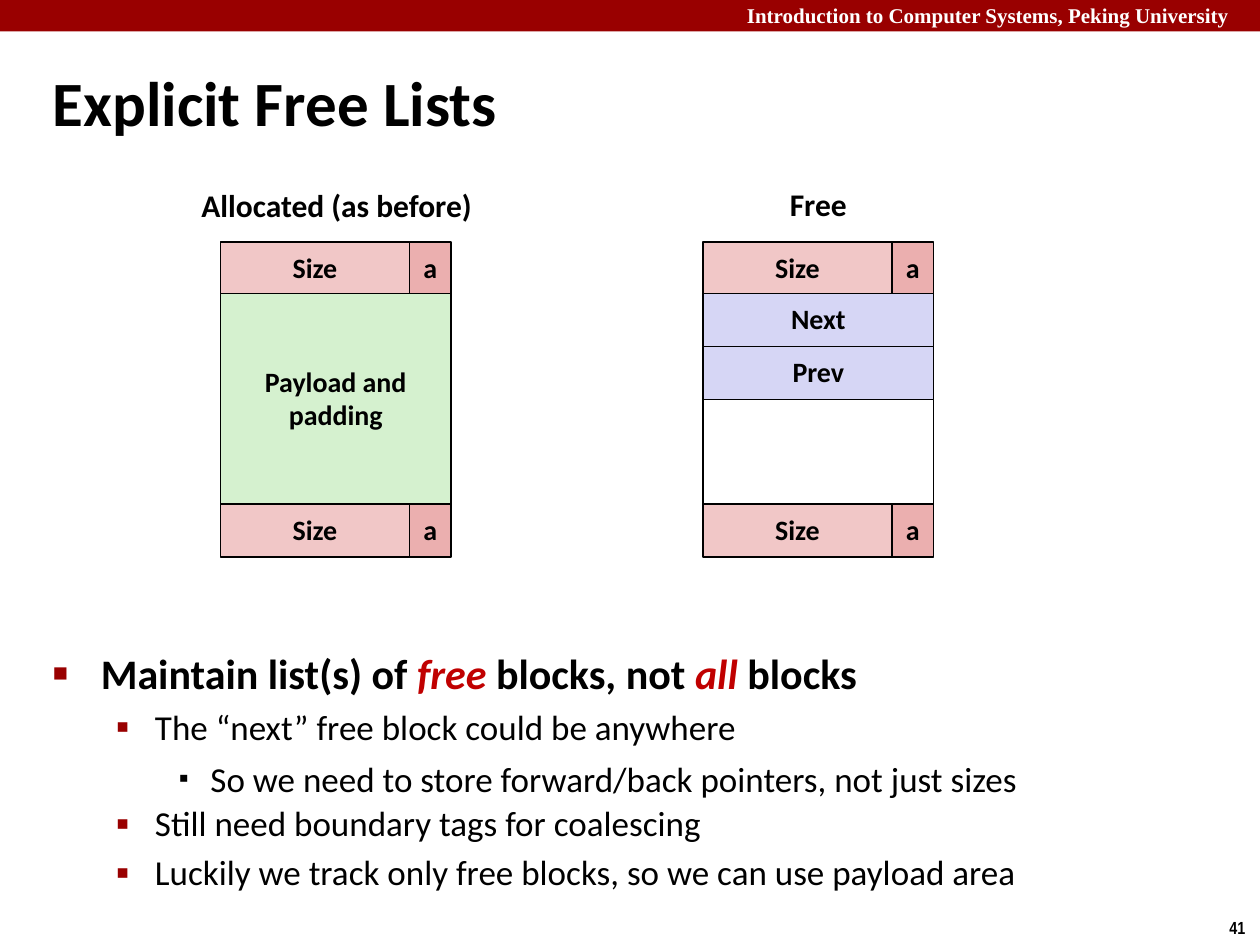
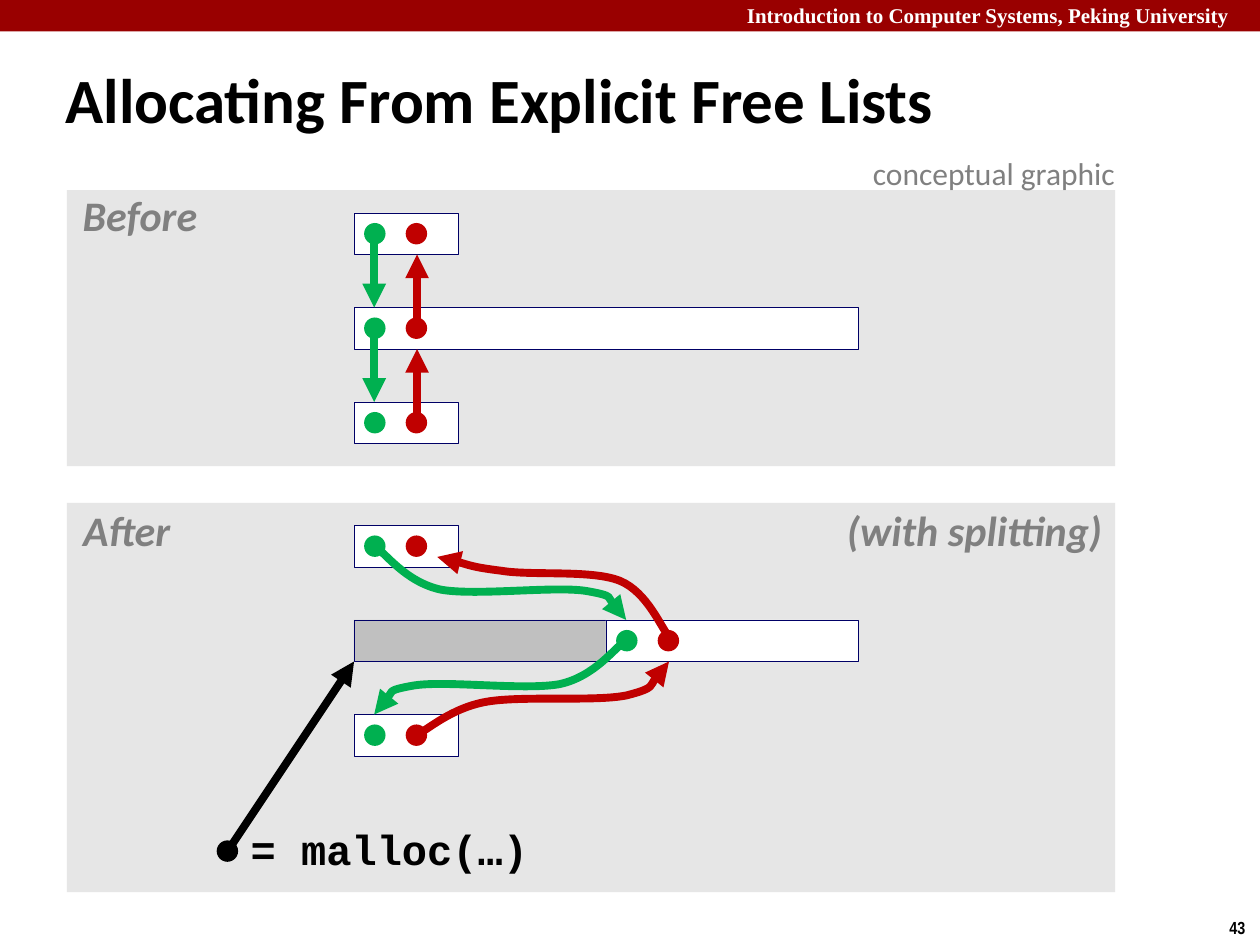
from lxml.etree import SubElement
from pptx import Presentation
from pptx.dml.color import RGBColor
from pptx.enum.shapes import MSO_CONNECTOR, MSO_SHAPE
from pptx.enum.text import MSO_AUTO_SIZE, PP_ALIGN
from pptx.oxml.ns import qn
from pptx.util import Inches, Pt

HUES = {
    "black": "000000", "white": "FFFFFF", "band": "990000", "red": "C00000",
    "green": "00B050", "navy": "000066", "gray": "808080", "panel": "E6E6E6",
    "used": "C0C0C0", "size": "F1C7C7", "flag": "EBAFAF", "load": "D5F1CF",
    "link": "D6D6F5",
}
RGB = {name: RGBColor.from_string(code) for name, code in HUES.items()}
MID = PP_ALIGN.CENTER


def write(shape, text, size=16, font="Calibri", hue="black", bold=True,
          slant=False, align=None, gap=None, wrap=False):
    frame = shape.text_frame
    frame.word_wrap = wrap
    frame.auto_size = MSO_AUTO_SIZE.NONE
    for i, line in enumerate(text.split("\n")):
        para = frame.add_paragraph() if i else frame.paragraphs[0]
        para.alignment = align
        para.line_spacing = gap
        for j, part in enumerate(line.split("*")):
            run = para.add_run()
            run.text = part
            run.font.name = font
            run.font.size = Pt(size)
            run.font.bold = bold
            run.font.italic = slant or j % 2 == 1
            run.font.color.rgb = RGB["red" if j % 2 else hue]


def draw(shapes, x, y, w, h, fill, line=None, width=1, kind=MSO_SHAPE.RECTANGLE):
    shape = shapes.add_shape(kind, Inches(x), Inches(y), Inches(w), Inches(h))
    shape.shadow.inherit = False
    shape.fill.solid()
    shape.fill.fore_color.rgb = RGB[fill]
    if line:
        shape.line.color.rgb = RGB[line]
        shape.line.width = Pt(width)
    else:
        shape.line.fill.background()
    return shape


deck = Presentation()
deck.slide_width, deck.slide_height = Inches(10), Inches(7.5)
lists = deck.slides.add_slide(deck.slide_layouts[1])
alloc = deck.slides.add_slide(deck.slide_layouts[5])

band = draw(lists.shapes, 0, 0, 10, 0.25, "band")
head = lists.shapes.add_textbox(Inches(5.83), Inches(-0.03), Inches(4.24), Inches(0.3))
write(head, "Introduction to Computer Systems, Peking University", size=12,
      font="Times New Roman", hue="white", wrap=True)
for part in (band, head):
    deck.slide_master.shapes._spTree.append(part._element)

for slide, name, page, x, y, w in (
    (lists, "Explicit Free Lists", "41", 0.32, 0.53, 6.64),
    (alloc, "Allocating From Explicit Free Lists", "43", 0.42, 0.51, 8.75),
):
    title = slide.shapes.title
    title.left, title.top = Inches(x), Inches(y)
    title.width, title.height = Inches(w), Inches(0.63)
    write(title, name, size=36, align=PP_ALIGN.LEFT, gap=0.87, wrap=True)
    foot = slide.shapes.add_textbox(Inches(9.66), Inches(7.23), Inches(0.34), Inches(0.27))
    write(foot, page, size=10, font="Arial Narrow")

body = lists.placeholders[1]
body.left, body.top = Inches(0.32), Inches(5.15)
body.width, body.height = Inches(9.09), Inches(2.02)
points = (
    ("Maintain list(s) of *free* blocks, not *all* blocks", 0, 0.85),
    ("The “next” free block could be anywhere", 1, 1.0),
    ("So we need to store forward/back pointers, not just sizes", 2, 1.07),
    ("Still need boundary tags for coalescing", 1, 0.9),
    ("Luckily we track only free blocks, so we can use payload area", 1, 1.0),
)
marks = (
    ("■", "band", 60, 0.38, 0.38),
    ("▪", "band", 110, 0.81, 0.31),
    ("▪", "black", 80, 1.25, 0.25),
)
write(body, "\n".join(text for text, level, gap in points), size=20, bold=False, wrap=True)
for para, (text, level, gap) in zip(body.text_frame.paragraphs, points):
    sign, hue, scale, left, hang = marks[level]
    para.level = level
    para.line_spacing = gap
    props = para._p.get_or_add_pPr()
    props.set("marL", str(Inches(left)))
    props.set("indent", str(-Inches(hang)))
    SubElement(SubElement(props, qn("a:buClr")), qn("a:srgbClr")).set("val", HUES[hue])
    SubElement(props, qn("a:buSzPct")).set("val", str(scale * 1000))
    SubElement(props, qn("a:buChar")).set("char", sign)
for run in body.text_frame.paragraphs[0].runs:
    run.font.size = Pt(24)
    run.font.bold = True

cells = []
for left in (1.75, 5.58):
    for top in (1.92, 4):
        cells += [(left, top, 1.5, 0.42, "size", "Size"),
                  (left + 1.5, top, 0.33, 0.42, "flag", "a")]
cells += [
    (1.75, 2.33, 1.83, 1.67, "load", "Payload and\npadding"),
    (5.58, 2.33, 1.83, 0.42, "link", "Next"),
    (5.58, 2.75, 1.83, 0.42, "link", "Prev"),
    (5.58, 3.17, 1.83, 0.83, "white", ""),
]
for x, y, w, h, fill, text in cells:
    cell = draw(lists.shapes, x, y, w, h, fill, "black")
    if text:
        write(cell, text, align=MID, gap=0.98)

for text, x, y, w in (("Allocated (as before)", 1.5, 1.43, 2.37), ("Free", 6.17, 1.42, 0.66)):
    label = lists.shapes.add_textbox(Inches(x), Inches(y), Inches(w), Inches(0.4))
    write(label, text, size=18)

before = alloc.shapes
after = before.add_group_shape().shapes
for shapes, top, high, shift in ((before, 1.69, 2.19, 0), (after, 4.17, 3.09, 2)):
    draw(shapes, 0.53, top - 0.18, 8.32, high, "panel")
    if shift:
        draw(shapes, 2.81, top + 0.75, shift, 0.33, "used", "navy", 0.25)
    for row in range(3):
        y = top + 0.75 * row
        x, w = (2.81 + shift, 4 - shift) if row == 1 else (2.81, 0.83)
        draw(shapes, x, y, w, 0.33, "white", "navy", 0.25)
        for step, hue in ((0.08, "green"), (0.41, "red")):
            draw(shapes, x + step, y + 0.08, 0.17, 0.17, hue, kind=MSO_SHAPE.OVAL)
draw(after, 1.72, 6.67, 0.17, 0.17, "black", kind=MSO_SHAPE.OVAL)

arrows = []
lines = [(after, 1.81, 6.75, 2.81, 5.25, "black")]
for y in (1.69, 2.44):
    lines += [(before, 2.97, y + 0.16, 2.97, y + 0.75, "green"),
              (before, 3.31, y + 0.91, 3.31, y + 0.33, "red")]
for shapes, x, y, x2, y2, hue in lines:
    arrow = shapes.add_connector(MSO_CONNECTOR.STRAIGHT, Inches(x), Inches(y),
                                 Inches(x2), Inches(y2))
    arrows.append((arrow, hue))

down = [(2.97, 4.33), (3.06, 4.39), (3.22, 4.62), (3.5, 4.68), (3.78, 4.73),
        (4.4, 4.65), (4.65, 4.69), (4.89, 4.73), (4.91, 4.87), (4.97, 4.92)]
back = [(7.94 - x, y + 0.75) for x, y in down]
rise = [(5.32, 5.07), (5.25, 4.99), (5.14, 4.7), (4.92, 4.61), (4.7, 4.52),
        (4.22, 4.57), (3.98, 4.53), (3.74, 4.5), (3.58, 4.44), (3.47, 4.42)]
join = [(3.31, 5.83), (3.4, 5.79), (3.58, 5.62), (3.86, 5.57), (4.14, 5.52),
        (4.72, 5.57), (4.97, 5.52), (5.21, 5.46), (5.24, 5.31), (5.31, 5.25)]
for knots, hue in ((down, "green"), (back, "green"), (rise, "red"), (join, "red")):
    spots = [(Inches(x), Inches(y)) for x, y in knots]
    pen = after.build_freeform(*spots[0])
    pen.add_line_segments(spots[1:], close=False)
    curve = pen.convert_to_shape()
    curve.fill.background()
    trace = curve._element.find(".//" + qn("a:path"))
    trace.set("fill", "none")
    legs = trace.findall(qn("a:lnTo"))
    for i in range(0, len(legs), 3):
        bend = SubElement(trace, qn("a:cubicBezTo"))
        for leg in legs[i:i + 3]:
            bend.append(leg[0])
            trace.remove(leg)
    arrows.append((curve, hue))

for arrow, hue in arrows:
    arrow.line.color.rgb = RGB[hue]
    arrow.line.width = Pt(4.5)
    props = arrow._element.spPr
    SubElement(props.find(qn("a:ln")), qn("a:tailEnd")).set("type", "triangle")
    SubElement(props, qn("a:effectLst"))

tag = {"size": 24, "hue": "gray", "slant": True, "align": MID, "gap": 0.9}
code = {"size": 24, "font": "Courier New", "align": MID, "gap": 0.9}
note = {"size": 18, "hue": "gray", "bold": False}
for shapes, text, x, y, w, h, style in (
    (before, "Before", 0.6, 1.5, 1.02, 0.47, tag),
    (after, "After", 0.6, 4, 0.81, 0.47, tag),
    (after, "(with splitting)", 6.66, 4, 2.15, 0.47, tag),
    (after, "= malloc(…)", 1.93, 6.53, 2.32, 0.47, code),
    (before, "conceptual graphic", 6.83, 1.17, 2.17, 0.4, note),
):
    label = shapes.add_textbox(Inches(x), Inches(y), Inches(w), Inches(h))
    write(label, text, **style)

deck.save("out.pptx")
